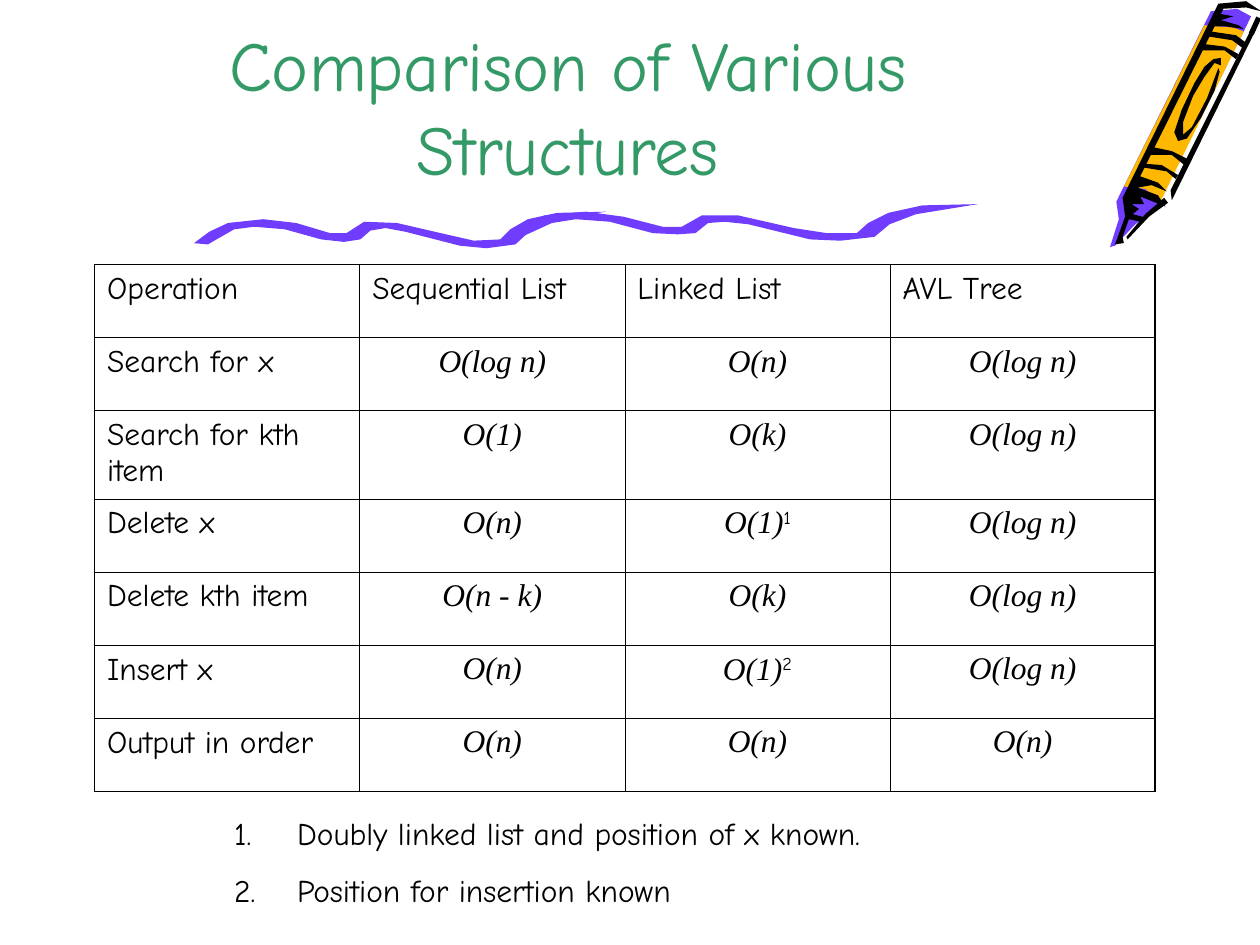
from lxml.etree import SubElement
from pptx import Presentation
from pptx.dml.color import RGBColor
from pptx.enum.shapes import MSO_CONNECTOR
from pptx.enum.text import MSO_ANCHOR, PP_ALIGN
from pptx.oxml.ns import qn
from pptx.util import Pt

HAND, MATH = "Comic Neue", "Times New Roman"
BLACK, PURPLE, ORANGE, GREEN = "000000", "703DFF", "FFB800", "339966"
THIN, THICK = 0.45, 1.08
OUTLINE_UNIT = Pt(0.72)

CRAYON = [
    (PURPLE, [(993, 13), (917, 166), (901, 178), (885, 195), (881, 196), (888, 174),
              (886, 160), (961, 9), (982, 7)]),
    (ORANGE, [(921, 160), (909, 150), (892, 148), (956, 20), (979, 22), (987, 25)]),
    (BLACK, [(927, 161), (912, 172), (895, 190), (894, 188), (909, 170), (924, 157)]),
    (BLACK, [(987, 23), (973, 21), (961, 21), (968, 11), (979, 13), (969, 16), (983, 20)]),
    (BLACK, [(968, 57), (964, 72), (953, 94), (942, 110), (935, 112), (932, 105),
             (938, 87), (948, 66), (956, 53), (963, 47), (969, 46), (969, 52),
             (964, 50), (956, 61), (947, 76), (939, 97), (939, 107), (946, 101),
             (958, 78), (967, 54)]),
    (BLACK, [(997, 23), (930, 159), (929, 151), (993, 23)]),
    (BLACK, [(925, 164), (919, 155), (903, 149), (914, 147), (926, 152), (919, 145),
             (905, 140), (971, 7), (989, 6), (1001, 9), (989, 1), (967, 3),
             (891, 157), (893, 172), (885, 194), (892, 193), (891, 188), (896, 174),
             (905, 176), (910, 173), (899, 170), (904, 166), (898, 162), (908, 162),
             (905, 156)]),
    (BLACK, [(933, 142), (926, 136), (908, 133), (909, 130), (922, 131), (935, 139)]),
    (BLACK, [(940, 131), (930, 123), (913, 123), (916, 117), (930, 120), (942, 126)]),
    (BLACK, [(981, 47), (972, 40), (953, 40), (956, 35), (972, 37), (983, 43)]),
    (BLACK, [(986, 38), (978, 32), (959, 29), (961, 25), (981, 28), (989, 34)]),
]
SQUIGGLE = [
    (PURPLE, [(165, 194), (186, 182), (202, 180), (226, 182), (255, 190), (273, 192),
              (286, 190), (294, 183), (306, 181), (322, 184), (365, 195), (386, 197),
              (409, 194), (420, 184), (438, 175), (481, 168), (442, 169), (419, 174),
              (405, 182), (397, 190), (376, 191), (354, 186), (315, 177), (289, 176),
              (275, 185), (262, 185), (235, 177), (209, 174), (181, 177), (166, 184),
              (154, 193)]),
    (PURPLE, [(414, 188), (438, 177), (457, 174), (484, 176), (518, 185), (538, 186),
              (552, 185), (562, 177), (575, 176), (594, 178), (643, 190), (667, 191),
              (694, 188), (706, 178), (727, 170), (776, 162), (732, 163), (705, 169),
              (689, 177), (680, 185), (656, 185), (630, 181), (586, 171), (557, 171),
              (541, 180), (526, 180), (495, 172), (465, 168), (432, 171), (415, 178),
              (401, 188)]),
]
OPERATIONS = [
    ("Operation", "Sequential List", "Linked List", "AVL Tree"),
    ("Search for x", "O(log n)", "O(n)", "O(log n)"),
    ("Search for kth item", "O(1)", "O(k)", "O(log n)"),
    ("Delete x", "O(n)", "O(1)^1", "O(log n)"),
    ("Delete kth item", "O(n - k)", "O(k)", "O(log n)"),
    ("Insert x", "O(n)", "O(1)^2", "O(log n)"),
    ("Output in order", "O(n)", "O(n)", "O(n)"),
]
FOOTNOTES = ["Doubly linked list and position of x known.", "Position for insertion known"]


def color(value):
    return RGBColor.from_string(value)


def add_run(paragraph, text, size=18, name=HAND, fill=BLACK, italic=False):
    run = paragraph.add_run()
    run.text = text
    for attribute, value in {"size": Pt(size), "name": name, "italic": italic}.items():
        setattr(run.font, attribute, value)
    run.font.color.rgb = color(fill)
    return run


def add_drawing(slide, outlines):
    drawing = slide.shapes.add_group_shape()
    for fill, points in outlines:
        builder = drawing.shapes.build_freeform(*points[0], scale=OUTLINE_UNIT)
        builder.add_line_segments(points[1:], close=True)
        outline = builder.convert_to_shape()
        outline.shadow.inherit = False
        outline.fill.solid()
        outline.fill.fore_color.rgb = color(fill)
        outline.line.fill.background()
    return drawing


def add_stroke(drawing, start, end, width):
    ends = [Pt(value) for value in (*start, *end)]
    stroke = drawing.shapes.add_connector(MSO_CONNECTOR.STRAIGHT, *ends)
    stroke.line.color.rgb = color(BLACK)
    stroke.line.width = Pt(width)
    SubElement(stroke._element.spPr, qn("a:effectLst"))


def add_text_box(slide, left, top, width, height, anchor=MSO_ANCHOR.TOP):
    frame = slide.shapes.add_textbox(Pt(left), Pt(top), Pt(width), Pt(height)).text_frame
    frame.word_wrap = True
    frame.vertical_anchor = anchor
    return frame


def set_borders(cell, widths):
    properties = cell._tc.get_or_add_tcPr()
    for side, width in widths.items():
        border = SubElement(properties, qn(f"a:{side}"), w=str(Pt(width)))
        fill = SubElement(border, qn("a:solidFill"))
        SubElement(fill, qn("a:srgbClr"), val=BLACK)


def add_comparison(slide):
    rows, columns = len(OPERATIONS), len(OPERATIONS[0])
    table = slide.shapes.add_table(
        rows, columns, Pt(54), Pt(151.2), Pt(606.24), Pt(301.2)).table
    table.first_row = table.horz_banding = False
    for column in table.columns:
        column.width = Pt(151.56)
    for r, operation in enumerate(OPERATIONS):
        table.rows[r].height = Pt(50.4 if r == 2 else 41.8)
        for c, entry in enumerate(operation):
            cell = table.cell(r, c)
            set_borders(cell, {
                "lnL": THICK if c == 0 else THIN,
                "lnR": THICK if c == columns - 1 else THIN,
                "lnT": THICK if r == 0 else THIN,
                "lnB": THICK if r == rows - 1 else THIN,
            })
            cell.fill.background()
            paragraph = cell.text_frame.paragraphs[0]
            cost, _, note = entry.partition("^")
            if r and c:
                paragraph.alignment = PP_ALIGN.CENTER
                add_run(paragraph, cost, name=MATH, italic=True)
            else:
                add_run(paragraph, cost)
            if note:
                mark = add_run(paragraph, note)
                mark.font._element.set("baseline", "30000")


def add_footnotes(slide):
    frame = add_text_box(slide, 126.72, 461.5, 496, 62)
    for index, footnote in enumerate(FOOTNOTES):
        paragraph = frame.add_paragraph() if index else frame.paragraphs[0]
        properties = paragraph._p.get_or_add_pPr()
        for attribute, value in {"marL": Pt(36), "indent": Pt(-36)}.items():
            properties.set(attribute, str(value))
        SubElement(properties, qn("a:buFont"), typeface=HAND)
        SubElement(properties, qn("a:buAutoNum"), type="arabicPeriod")
        if index:
            paragraph.space_before = Pt(11.2)
        add_run(paragraph, footnote)


def main():
    presentation = Presentation()
    presentation.slide_width, presentation.slide_height = Pt(720), Pt(540)
    slide = presentation.slides.add_slide(presentation.slide_layouts[6])
    crayon = add_drawing(slide, CRAYON)
    add_stroke(crayon, (719.28, 10.08), (714.96, 19.44), 3)
    add_drawing(slide, SQUIGGLE)
    title = add_text_box(slide, 54, 0, 540.72, 111.6, MSO_ANCHOR.BOTTOM).paragraphs[0]
    title.alignment = PP_ALIGN.CENTER
    add_run(title, "Comparison of Various Structures", size=40, fill=GREEN)
    add_comparison(slide)
    add_footnotes(slide)
    presentation.save("out.pptx")


if __name__ == "__main__":
    main()
